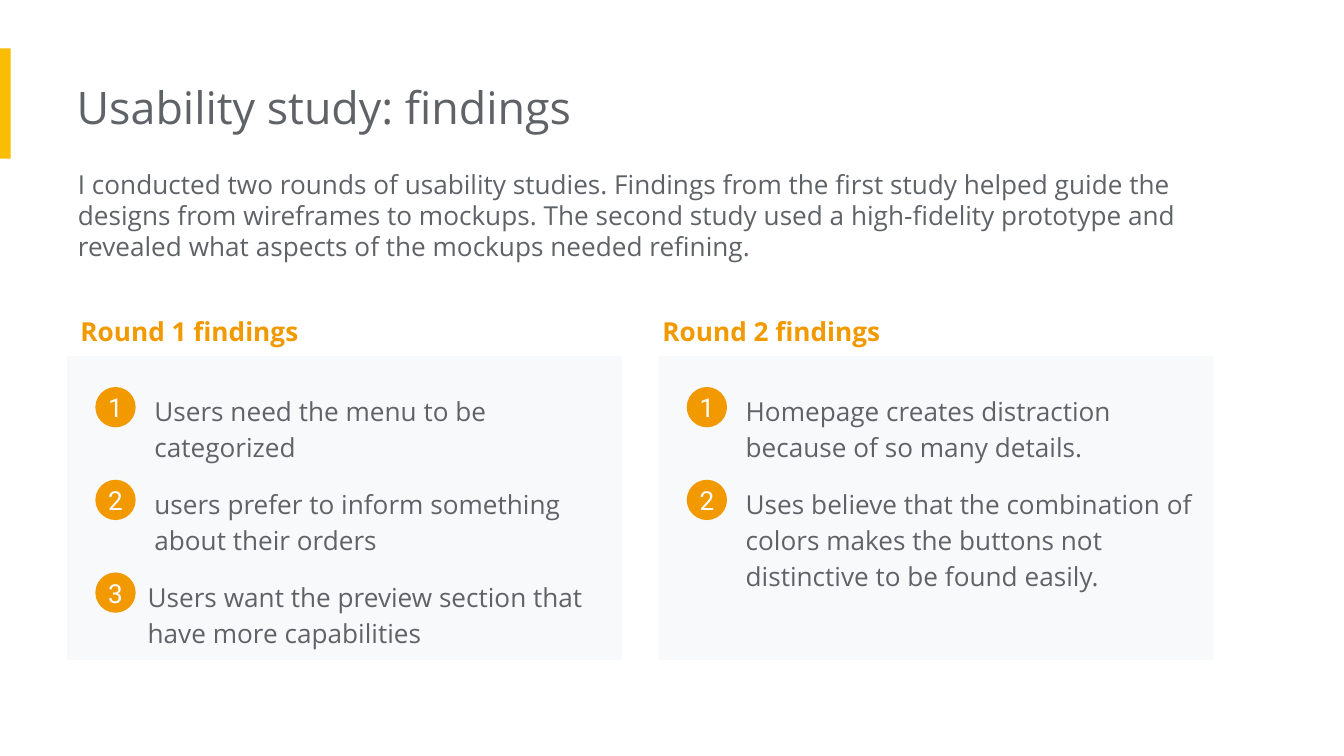
from pptx import Presentation
from pptx.dml.color import RGBColor
from pptx.enum import shapes, text
from pptx.util import Inches, Pt

GREY = RGBColor(0x5F, 0x63, 0x68)
ORANGE = RGBColor(0xF2, 0x99, 0x00)
YELLOW = RGBColor(0xFB, 0xBC, 0x04)
PANEL = RGBColor(0xF8, 0xF9, 0xFA)
WHITE = RGBColor(0xFF, 0xFF, 0xFF)

PANEL_TOP = 2.65
FIRST_ITEM_TOP = 2.81
ITEM_STEP = 0.69

INTRO = (
    "I conducted two rounds of usability studies. Findings from the first study "
    "helped guide the designs from wireframes to mockups. The second study used "
    "a high-fidelity prototype and revealed what aspects of the mockups needed "
    "refining."
)

# Panel left, heading left, heading, findings as (text, indent from panel, height)
ROUNDS = [
    (0.5, 0.5, "Round 1 findings", [
        ("Users need the menu to be categorized", 0.55, 0.74),
        ("users prefer to inform something about their orders", 0.55, 0.74),
        ("Users want the preview section that have more capabilities", 0.5, 0.74),
    ]),
    (4.9, 4.83, "Round 2 findings", [
        ("Homepage creates distraction because of so many details.", 0.55, 0.74),
        ("Uses believe that the combination of colors makes the buttons not "
         "distinctive to be found easily.", 0.55, 1.01),
    ]),
]


def write(shape, words, size=14, color=GREY, font="Open Sans", bold=False,
          spacing=1.0, inset=0.1, left_inset=0.1,
          anchor=text.MSO_ANCHOR.TOP, align=text.PP_ALIGN.LEFT):
    frame = shape.text_frame
    frame.text = words
    frame.word_wrap = True
    frame.auto_size = text.MSO_AUTO_SIZE.NONE
    frame.vertical_anchor = anchor
    frame.margin_left = Inches(left_inset)
    frame.margin_top = frame.margin_right = frame.margin_bottom = Inches(inset)
    paragraph = frame.paragraphs[0]
    paragraph.alignment = align
    paragraph.line_spacing = spacing
    run_font = paragraph.runs[0].font
    run_font.name = font
    run_font.size = Pt(size)
    run_font.bold = bold
    run_font.color.rgb = color


def add_text(slide, left, top, width, height, words, **style):
    box = slide.shapes.add_textbox(
        Inches(left), Inches(top), Inches(width), Inches(height))
    write(box, words, **style)


def add_block(slide, kind, left, top, width, height, color):
    block = slide.shapes.add_shape(
        kind, Inches(left), Inches(top), Inches(width), Inches(height))
    block.shadow.inherit = False
    block.fill.solid()
    block.fill.fore_color.rgb = color
    block.line.fill.background()
    return block


def add_title(slide, words):
    title = slide.shapes.title
    title.left, title.top = Inches(0.57), Inches(0.49)
    title.width, title.height = Inches(6.73), Inches(0.61)
    write(title, words, size=24, left_inset=0)


def add_finding(slide, number, panel_left, words, indent, height):
    top = FIRST_ITEM_TOP + (number - 1) * ITEM_STEP
    add_text(slide, panel_left + indent, top, 3.65, height, words, spacing=1.15)
    badge = add_block(slide, shapes.MSO_SHAPE.OVAL,
                      panel_left + 0.21, top + 0.07, 0.3, 0.3, ORANGE)
    write(badge, str(number), color=WHITE, font="Roboto", inset=0, left_inset=0,
          anchor=text.MSO_ANCHOR.MIDDLE, align=text.PP_ALIGN.CENTER)


def add_round(slide, panel_left, heading_left, heading, findings):
    add_text(slide, heading_left, 2.21, 3.65, 0.44, heading,
             color=ORANGE, bold=True, spacing=1.15)
    add_block(slide, shapes.MSO_SHAPE.RECTANGLE,
              panel_left, PANEL_TOP, 4.13, 2.26, PANEL)
    for number, finding in enumerate(findings, start=1):
        add_finding(slide, number, panel_left, *finding)


def main():
    deck = Presentation()
    # Widescreen, 16:9
    deck.slide_width = Inches(10)
    deck.slide_height = Inches(10 * 9 / 16)
    slide = deck.slides.add_slide(deck.slide_layouts[5])

    # Accent bar, title and introduction
    add_block(slide, shapes.MSO_SHAPE.RECTANGLE, 0, 0.36, 0.08, 0.82, YELLOW)
    add_title(slide, "Usability study: findings")
    add_text(slide, 0.58, 1.15, 8.61, 0.91, INTRO, left_inset=0)

    # One panel of numbered findings per round
    for study_round in ROUNDS:
        add_round(slide, *study_round)

    deck.save("out.pptx")


if __name__ == "__main__":
    main()
